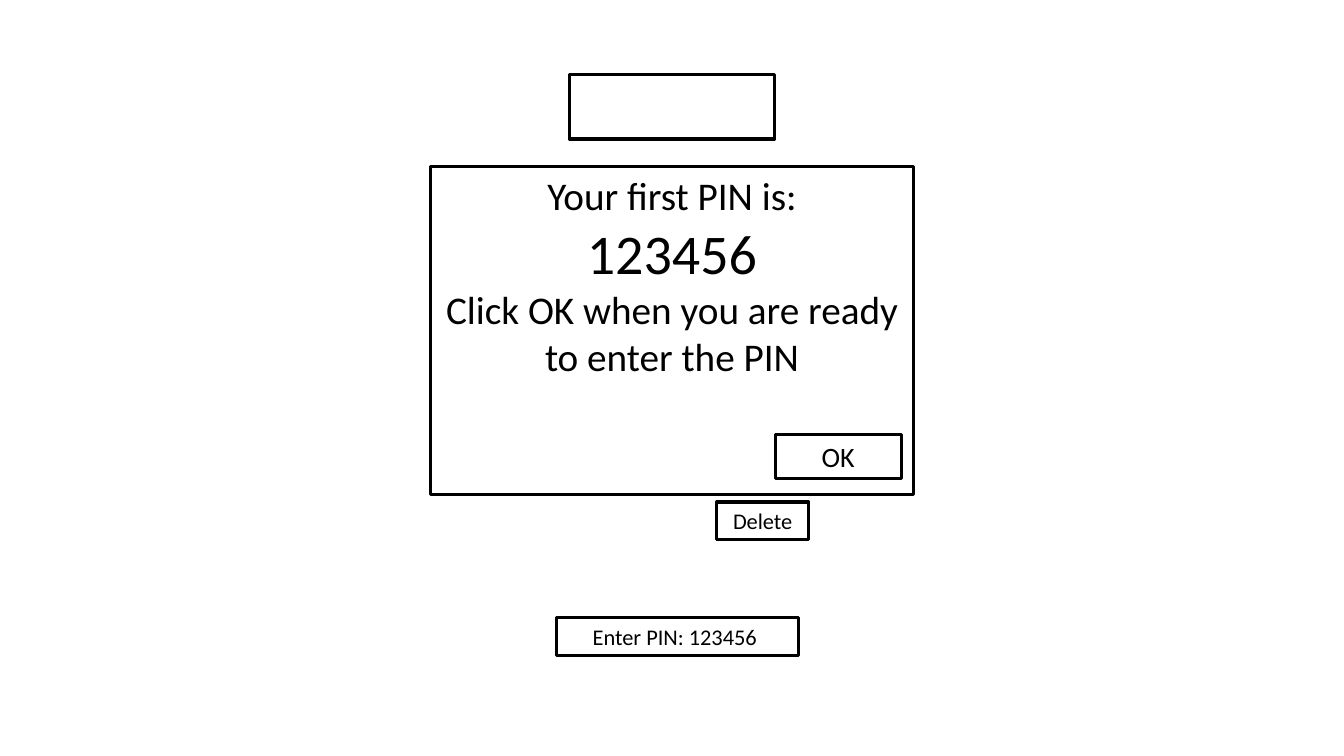
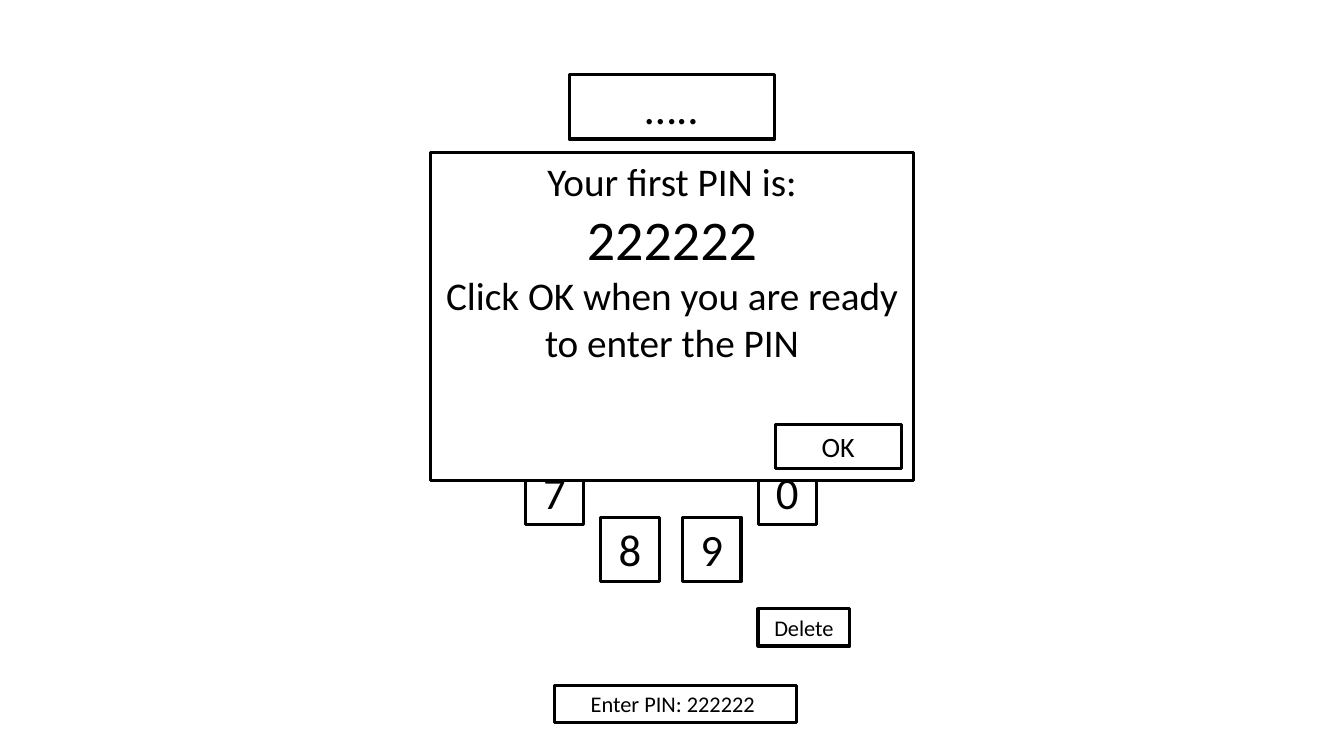
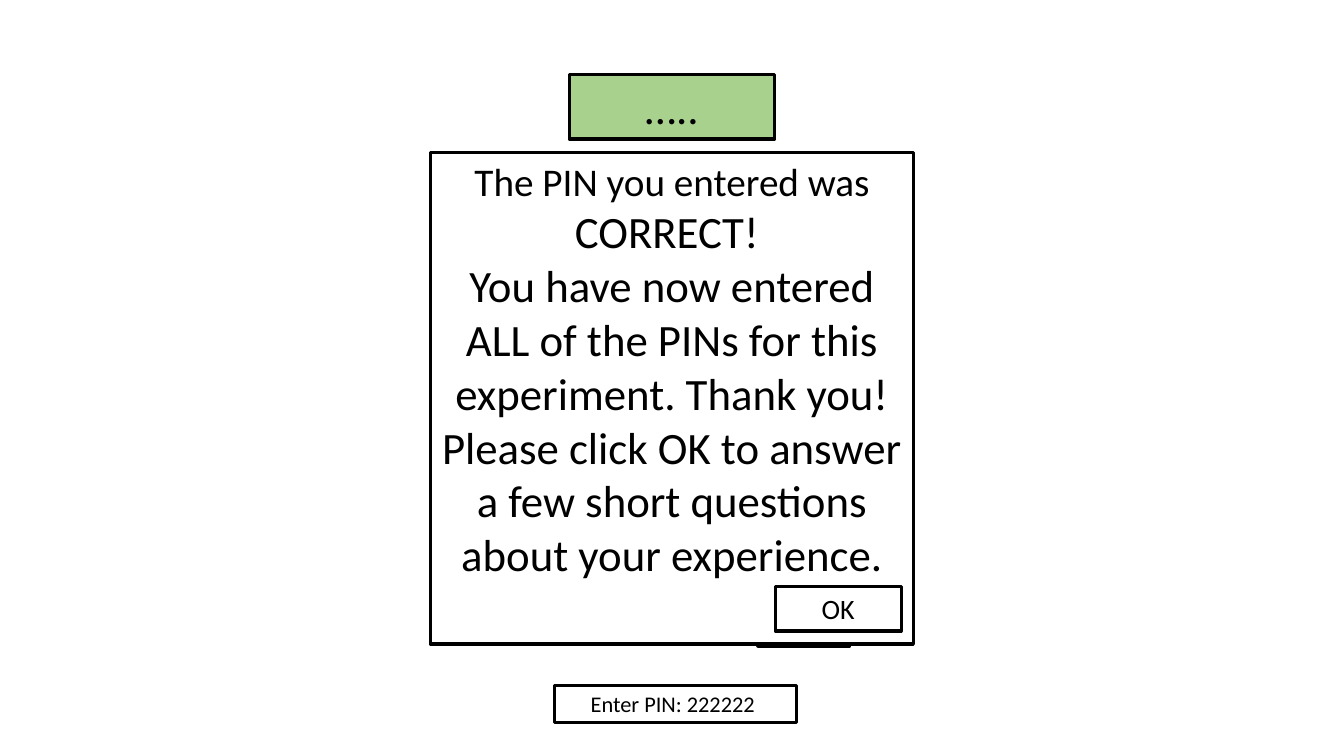
from pptx import Presentation, util as u
from pptx.dml.color import RGBColor
from pptx.enum import text

COLORS = {"ink": "000000", "panel": "FFFFFF", "correct": "A9D18E"}
FONT = "Calibri"
CENTER = 50
DIALOG_WIDTH = 35.93
BUTTON_HEIGHT = 4.93
KEY_WIDTH, KEY_HEIGHT = 4.35, 8.53


class PinScreen:
    def __init__(self, presentation):
        self.presentation = presentation
        self.slide = None

    def start(self):
        self.slide = self.presentation.slides.add_slide(self.presentation.slide_layouts[6])

    def across(self, share):
        return round(self.presentation.slide_width * share / 100)

    def down(self, share):
        return round(self.presentation.slide_height * share / 100)

    def box(self, left, top, width, height, lines=(), fill=None):
        shape = self.slide.shapes.add_textbox(
            self.across(left), self.down(top), self.across(width), self.down(height))
        shape.line.color.rgb = RGBColor.from_string(COLORS["ink"])
        shape.line.width = u.Pt(2.25)
        if fill:
            shape.fill.solid()
            shape.fill.fore_color.rgb = RGBColor.from_string(COLORS[fill])
        frame = shape.text_frame
        frame.word_wrap = True
        frame.text = "\n".join(line for line, size in lines)
        for paragraph, (line, size) in zip(frame.paragraphs, lines):
            paragraph.alignment = text.PP_ALIGN.CENTER
            for run in paragraph.runs:
                run.font.name = FONT
                run.font.size = u.Pt(size)
                run.font.color.rgb = RGBColor.from_string(COLORS["ink"])

    def display(self, dots="", fill=None):
        width = 15.3
        lines = [(dots, 32)] if dots else []
        self.box(CENTER - width / 2, 9.87, width, KEY_HEIGHT, lines, fill)

    def delete_button(self, left, top):
        self.box(left, top, 6.83, BUTTON_HEIGHT, [("Delete", 16)])

    def prompt(self, left, top, pin):
        self.box(left, top, 18, BUTTON_HEIGHT, [(f"Enter PIN: {pin} ", 16)])

    def dialog(self, top, height, lines, ok_top):
        self.box(CENTER - DIALOG_WIDTH / 2, top, DIALOG_WIDTH, height, lines, "panel")
        self.box(57.68, ok_top, 9.38, 5.87, [("OK", 20)])

    def pin_dialog(self, top, pin, ok_top):
        lines = [("Your first PIN is:", 28), (pin, 40),
                 ("Click OK when you are ready to enter the PIN", 28)]
        self.dialog(top, 43.47, lines, ok_top)

    def keys(self):
        middle = 49.92 - KEY_WIDTH / 2
        for digit, offset, top in (("7", -8.66, 60.8), ("8", -3.04, 68.4),
                                   ("9", 3.04, 68.4), ("0", 8.66, 60.8)):
            self.box(middle + offset, top, KEY_WIDTH, KEY_HEIGHT, [(digit, 32)])

    def entered(self, pin, fill=None):
        self.display("…..", fill)
        self.delete_button(56.4, 80.53)
        self.prompt(41.25, 90.67, pin)


def main():
    presentation = Presentation()
    presentation.slide_width = u.Inches(13.33)
    presentation.slide_height = u.Inches(7.5)
    screen = PinScreen(presentation)

    screen.start()
    screen.display()
    screen.delete_button(53.33, 66.4)
    screen.prompt(41.4, 81.73, "123456")
    screen.pin_dialog(22, "123456", 57.47)

    screen.start()
    screen.keys()
    screen.entered("222222")
    screen.pin_dialog(20.13, "222222", 56.13)

    screen.start()
    screen.entered("222222", "correct")
    screen.dialog(20.13, 65.07, [
        ("The PIN you entered was", 28),
        ("CORRECT! ", 32),
        ("You have now entered ALL of the PINs for this experiment. Thank you! "
         "Please click OK to answer a few short questions about your experience.", 32),
    ], 77.6)

    presentation.save("out.pptx")


if __name__ == "__main__":
    main()
